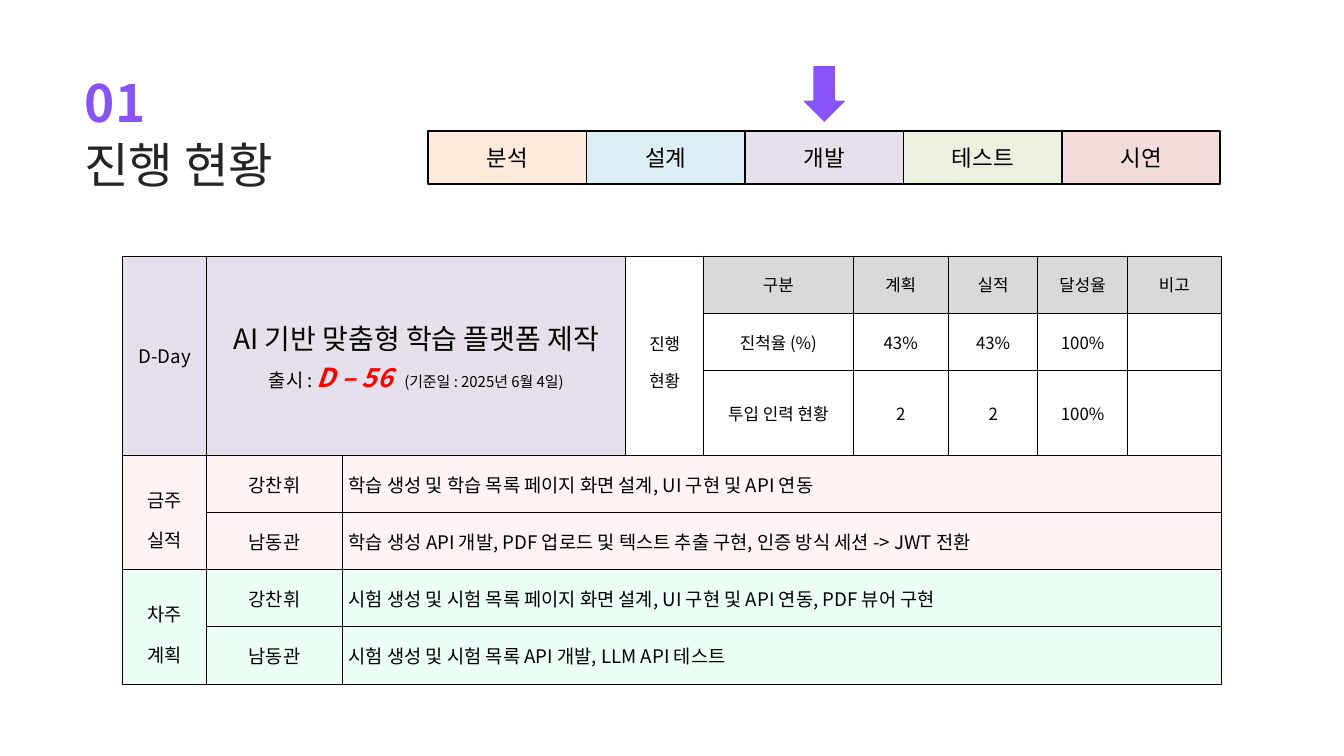
from lxml import etree
from pptx import Presentation
from pptx.dml.color import RGBColor
from pptx.enum.shapes import MSO_SHAPE
from pptx.enum.text import MSO_ANCHOR, MSO_AUTO_SIZE, PP_ALIGN
from pptx.oxml.ns import qn
from pptx.util import Cm, Pt

RECTANGLE, DOWN_ARROW = MSO_SHAPE.RECTANGLE, MSO_SHAPE.DOWN_ARROW
TOP, MIDDLE = MSO_ANCHOR.TOP, MSO_ANCHOR.MIDDLE
LEFT, CENTER = PP_ALIGN.LEFT, PP_ALIGN.CENTER
NO_AUTOFIT = MSO_AUTO_SIZE.NONE

FONT = "Noto Sans CJK KR"
BLACK = RGBColor(0x00, 0x00, 0x00)
WHITE = RGBColor(0xFF, 0xFF, 0xFF)
DARK = RGBColor(0x25, 0x25, 0x25)
PURPLE = RGBColor(0x88, 0x54, 0xF7)
RED = RGBColor(0xFF, 0x00, 0x00)
GRAY = RGBColor(0xD9, 0xD9, 0xD9)
PEACH = RGBColor(0xFD, 0xEA, 0xDA)
SKY = RGBColor(0xDB, 0xEE, 0xF4)
LAVENDER = RGBColor(0xE6, 0xE0, 0xEC)
LIME = RGBColor(0xEB, 0xF1, 0xDE)
ROSE = RGBColor(0xF2, 0xDC, 0xDB)
PINK = RGBColor(0xFF, 0xF3, 0xF3)
MINT = RGBColor(0xEB, 0xFF, 0xF4)

STAGES = [("분석", PEACH), ("설계", SKY), ("개발", LAVENDER),
          ("테스트", LIME), ("시연", ROSE)]
STAGE_LEFT, STAGE_TOP, STAGE_WIDTH, STAGE_HEIGHT = 16.18, 4.95, 5.99, 2.01
CURRENT_STAGE = 2
ARROW_WIDTH = 1.8

COLUMN_WIDTHS = [3.2, 5.11, 10.72, 2.95, 5.64, 3.61, 3.38, 3.38, 3.56]
ROW_HEIGHTS = [2.16, 2.16, 2.72, 2.16, 2.16, 2.16, 2.16]
PROGRESS = [
    ["구분", "계획", "실적", "달성율", "비고"],
    ["진척율 (%)", "43%", "43%", "100%", ""],
    ["투입 인력 현황", "2", "2", "100%", ""],
]
WORK = [
    ("금주\n실적", PINK, [
        ("강찬휘", "학습 생성 및 학습 목록 페이지 화면 설계, UI 구현 및 API 연동"),
        ("남동관", "학습 생성 API 개발, PDF 업로드 및 텍스트 추출 구현, 인증 방식 세션 -> JWT 전환"),
    ]),
    ("차주\n계획", MINT, [
        ("강찬휘", "시험 생성 및 시험 목록 페이지 화면 설계, UI 구현 및 API 연동, PDF 뷰어 구현"),
        ("남동관", "시험 생성 및 시험 목록 API 개발, LLM API 테스트"),
    ]),
]


def apply_format(target, values):
    for name, value in values.items():
        setattr(target, name, value)


def add_text(paragraph, text, size, color=BLACK, **font_values):
    for index, line in enumerate(text.split("\n")):
        if index:
            paragraph.add_line_break()
        run = paragraph.add_run()
        run.text = line
        apply_format(run.font, {"name": FONT, "size": Pt(size), **font_values})
        run.font.color.rgb = color
        east_asian = etree.SubElement(run._r.get_or_add_rPr(), qn("a:ea"))
        east_asian.set("typeface", FONT)


def format_heading(shape, position, text, size, line_spacing, color, bold):
    apply_format(shape, dict(zip(("left", "top", "width", "height"), map(Cm, position))))
    frame = shape.text_frame
    apply_format(frame, {
        "margin_left": 0, "margin_top": 0, "margin_right": 0, "margin_bottom": 0,
        "word_wrap": True, "auto_size": NO_AUTOFIT, "vertical_anchor": TOP,
    })
    paragraph = frame.paragraphs[0]
    apply_format(paragraph, {"alignment": LEFT, "line_spacing": Pt(line_spacing)})
    add_text(paragraph, text, size, color, bold=bold)
    return paragraph


def add_block(shapes, kind, position, fill, line):
    shape = shapes.add_shape(kind, *map(Cm, position))
    shape.shadow.inherit = False
    shape.fill.solid()
    shape.fill.fore_color.rgb = fill
    shape.line.color.rgb = line
    shape.line.width = Pt(2)
    return shape


def add_stages(slide):
    group = slide.shapes.add_group_shape()
    for index, (name, fill) in enumerate(STAGES):
        left = STAGE_LEFT + index * STAGE_WIDTH
        shape = add_block(group.shapes, RECTANGLE,
                          (left, STAGE_TOP, STAGE_WIDTH, STAGE_HEIGHT), fill, BLACK)
        shape.text_frame.vertical_anchor = MIDDLE
        paragraph = shape.text_frame.paragraphs[0]
        paragraph.alignment = CENTER
        add_text(paragraph, name, 24)
    arrow_left = STAGE_LEFT + (CURRENT_STAGE + 0.5) * STAGE_WIDTH - ARROW_WIDTH / 2
    add_block(group.shapes, DOWN_ARROW, (arrow_left, 2.46, ARROW_WIDTH, 2.21), PURPLE, WHITE)


def set_borders(cell):
    properties = cell._tc.get_or_add_tcPr()
    for side in ("a:lnL", "a:lnR", "a:lnT", "a:lnB"):
        border = etree.SubElement(properties, qn(side), w=str(Pt(1)))
        fill = etree.SubElement(border, qn("a:solidFill"))
        etree.SubElement(fill, qn("a:srgbClr"), val=str(BLACK))


def fill_cell(table, row, column, text, size, fill, span=(1, 1), alignment=CENTER, spacing=None):
    cell = table.cell(row, column)
    if span != (1, 1):
        cell.merge(table.cell(row + span[0] - 1, column + span[1] - 1))
    cell.vertical_anchor = MIDDLE
    cell.fill.solid()
    cell.fill.fore_color.rgb = fill
    paragraph = cell.text_frame.paragraphs[0]
    apply_format(paragraph, {"alignment": alignment, "line_spacing": spacing})
    if text:
        add_text(paragraph, text, size)
    return cell


def add_status_table(slide):
    frame = slide.shapes.add_table(
        len(ROW_HEIGHTS), len(COLUMN_WIDTHS), Cm(4.62), Cm(9.68),
        Cm(sum(COLUMN_WIDTHS)), Cm(sum(ROW_HEIGHTS)))
    table = frame.table
    apply_format(table, {"first_row": False, "horz_banding": False})
    for column, width in zip(table.columns, COLUMN_WIDTHS):
        column.width = Cm(width)
    for row, height in zip(table.rows, ROW_HEIGHTS):
        row.height = Cm(height)
    for cell in table.iter_cells():
        set_borders(cell)

    fill_cell(table, 0, 0, "D-Day", 20, LAVENDER, (3, 1))
    project = fill_cell(table, 0, 1, "AI 기반 맞춤형 학습 플랫폼 제작", 30, LAVENDER, (3, 2))
    release = project.text_frame.add_paragraph()
    release.alignment = CENTER
    add_text(release, "출시 : ", 20)
    add_text(release, "D – 56  ", 28, RED, bold=True, italic=True)
    add_text(release, "(기준일 : 2025년 6월 4일)", 16)
    fill_cell(table, 0, 3, "진행\n현황", 18, WHITE, (3, 1), spacing=1.5)

    for row, values in enumerate(PROGRESS):
        for column, value in enumerate(values, start=4):
            fill_cell(table, row, column, value, 18, WHITE if row else GRAY)

    row = len(PROGRESS)
    for period, fill, tasks in WORK:
        fill_cell(table, row, 0, period, 20, fill, (len(tasks), 1), spacing=1.5)
        for person, task in tasks:
            fill_cell(table, row, 1, person, 20, fill)
            fill_cell(table, row, 2, task, 20, fill, (1, 7), LEFT)
            row += 1


def main():
    presentation = Presentation()
    presentation.slide_width = Cm(50.8)
    presentation.slide_height = Cm(28.58)
    slide = presentation.slides.add_slide(presentation.slide_layouts[5])
    number_box = slide.shapes.add_textbox(0, 0, 0, 0)
    number = format_heading(number_box, (3.18, 1.14, 3.89, 3.51), "01", 55, 110, PURPLE, True)
    number.runs[0]._r.get_or_add_rPr().set("spc", "130")
    format_heading(slide.shapes.title, (3.18, 3.63, 14.73, 3.33), "진행 현황", 52, 104, DARK, False)
    add_stages(slide)
    add_status_table(slide)
    presentation.save("out.pptx")


if __name__ == "__main__":
    main()
